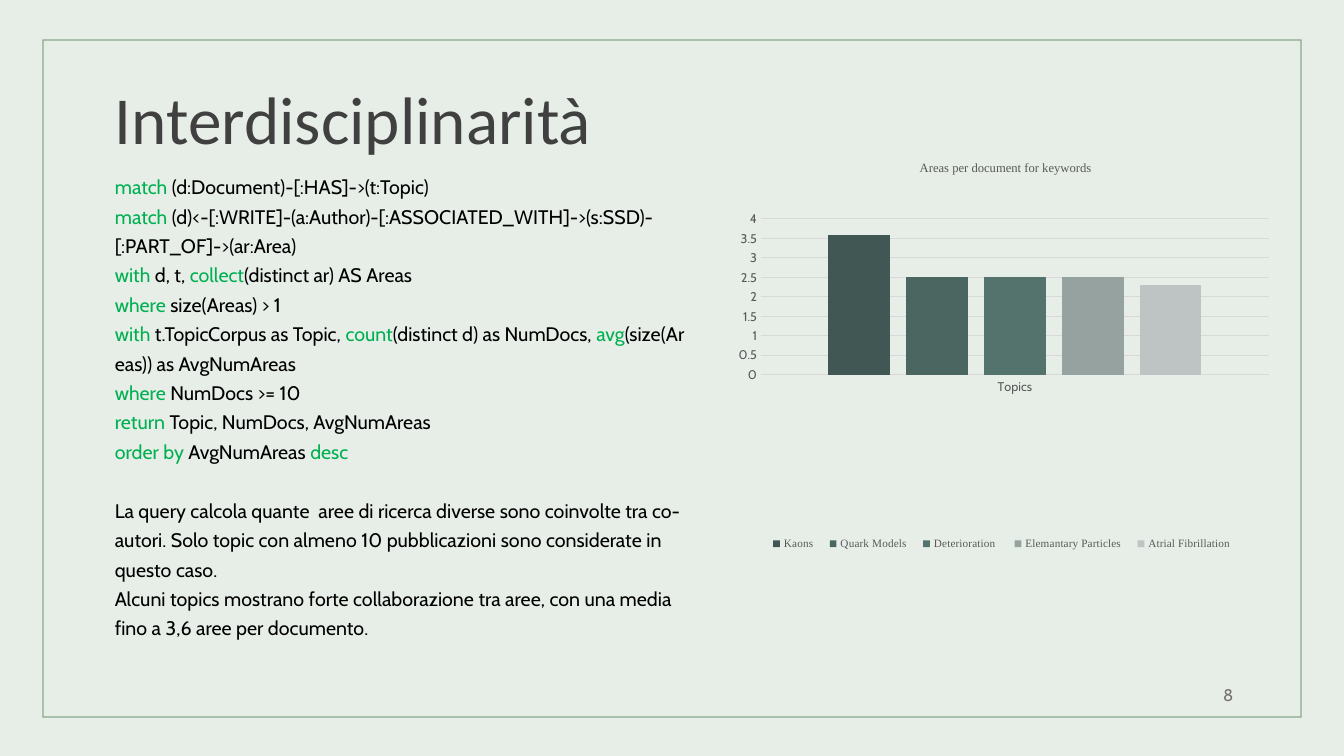
from pptx import Presentation
from pptx.chart.data import CategoryChartData
from pptx.dml.color import RGBColor
from pptx.enum.chart import XL_CHART_TYPE, XL_LEGEND_POSITION, XL_TICK_MARK
from pptx.enum.shapes import MSO_SHAPE
from pptx.enum.text import MSO_ANCHOR, MSO_AUTO_SIZE, PP_ALIGN
from pptx.oxml.ns import qn
from pptx.util import Inches, Pt
from lxml.etree import SubElement

COLORS = {
    "bg": "E7EEE8", "frame": "88A88E", "title": "404040", "keyword": "00B050",
    "text": "000000", "number": "767171", "label": "595959", "grid": "D9D9D9",
}
QUERY = [
    "|match| (d:Document)-[:HAS]->(t:Topic)",
    "|match| (d)<-[:WRITE]-(a:Author)-[:ASSOCIATED_WITH]->(s:SSD)-[:PART_OF]->(ar:Area)",
    "|with| d, t, |collect|(distinct ar) AS Areas",
    "|where| size(Areas) > 1",
    "|with| t.TopicCorpus as Topic, |count|(distinct d) as NumDocs, |avg|(size(Areas)) as AvgNumAreas",
    "|where| NumDocs >= 10",
    "|return| Topic, NumDocs, AvgNumAreas",
    "|order by| AvgNumAreas |desc|",
]
NOTES = [
    "La query calcola quante  aree di ricerca diverse sono coinvolte tra co-autori. "
    "Solo topic con almeno 10 pubblicazioni sono considerate in questo caso.",
    "Alcuni topics mostrano forte collaborazione tra aree, con una media fino a 3,6 aree per documento.",
]
TOPICS = [
    ("Kaons", 3.6, "405753"),
    ("Quark Models", 2.5, "4B6661"),
    ("Deterioration ", 2.5, "55736D"),
    ("Elemantary Particles", 2.5, "95A29F"),
    ("Atrial Fibrillation", 2.3, "BDC4C3"),
]
NBSP = chr(160)


def rgb(name):
    return RGBColor.from_string(COLORS.get(name, name))


def style_font(font, size, color="text", name="Cabin"):
    font.size, font.name, font.bold = Pt(size), name, False
    font.color.rgb = rgb(color)


def add_text(p, text, size=14, color="text", name="Cabin"):
    r = p.add_run()
    r.text = text
    style_font(r.font, size, color, name)


def set_layout(element, index, inner=False, **fractions):
    for old in element.findall(qn("c:layout")):
        element.remove(old)
    layout = SubElement(element, qn("c:layout"))
    element.insert(index, layout)
    manual = SubElement(layout, qn("c:manualLayout"))
    if inner:
        SubElement(manual, qn("c:layoutTarget")).set("val", "inner")
    for key in ("x", "y"):
        SubElement(manual, qn(f"c:{key}Mode")).set("val", "edge")
    for key, value in fractions.items():
        SubElement(manual, qn(f"c:{key}")).set("val", str(value))


class SlideBuilder:
    """Holds the deck style and the current slide."""

    def __init__(self):
        self.prs = Presentation()
        self.prs.slide_width, self.prs.slide_height = Inches(13.33), Inches(7.5)
        self.s = self.prs.slides.add_slide(self.prs.slide_layouts[5])
        self.s.background.fill.solid()
        self.s.background.fill.fore_color.rgb = rgb("bg")

    def frame(self, *box):
        sp = self.s.shapes.add_shape(MSO_SHAPE.FRAME, *map(Inches, box))
        sp.adjustments[0] = 0.002
        sp.shadow.inherit = False
        sp.fill.solid()
        sp.fill.fore_color.rgb = rgb("frame")
        sp.line.fill.background()

    def title(self, text, *box):
        sp = self.s.shapes.title
        sp.left, sp.top, sp.width, sp.height = map(Inches, box)
        tf = sp.text_frame
        tf.vertical_anchor, tf.auto_size = MSO_ANCHOR.BOTTOM, MSO_AUTO_SIZE.NONE
        p = tf.paragraphs[0]
        p.alignment, p.line_spacing = PP_ALIGN.LEFT, 0.9
        add_text(p, text, size=48, color="title", name="Calibri")

    def textbox(self, *box):
        tf = self.s.shapes.add_textbox(*map(Inches, box)).text_frame
        tf.word_wrap = True
        return tf

    def body(self, query, notes, *box):
        tf = self.textbox(*box)
        for i, line in enumerate(query + notes):
            p = tf.paragraphs[0] if i == 0 else tf.add_paragraph()
            p.line_spacing = 1.25
            if i >= len(query):
                p.space_before = Pt(21 if i == len(query) else 0)
                add_text(p, line)
                continue
            for j, part in enumerate(line.split("|")):
                if part:
                    add_text(p, part.replace(" ", NBSP), color="keyword" if j % 2 else "text")

    def number(self, text, *box):
        tf = self.textbox(*box)
        tf.vertical_anchor = MSO_ANCHOR.MIDDLE
        tf.paragraphs[0].alignment = PP_ALIGN.RIGHT
        add_text(tf.paragraphs[0], text, size=12, color="number")

    def chart(self, title, category, topics, *box):
        data = CategoryChartData()
        data.categories = [category]
        for name, value, _ in topics:
            data.add_series(name, [value])
        chart = self.s.shapes.add_chart(XL_CHART_TYPE.COLUMN_CLUSTERED, *map(Inches, box), data).chart
        style_font(chart.font, 10)

        chart.has_title = True
        add_text(chart.chart_title.text_frame.paragraphs[0], title, 9, "label", "Times New Roman")
        chart.chart_title.include_in_layout = False
        set_layout(chart.chart_title._element, 1, x=0.35, y=0.03)

        plot = chart.plots[0]
        plot.gap_width, plot.overlap, plot.vary_by_categories = 219, -27, False
        set_layout(chart._chartSpace.chart.plotArea, 0, True, x=0.081, y=0.156, w=0.873, h=0.316)
        for series, (_, _, color) in zip(plot.series, topics):
            series.format.fill.solid()
            series.format.fill.fore_color.rgb = rgb(color)

        cat, val = chart.category_axis, chart.value_axis
        for axis in (cat, val):
            axis.major_tick_mark = axis.minor_tick_mark = XL_TICK_MARK.NONE
            style_font(axis.tick_labels.font, 9, "label")
        val.minimum_scale, val.maximum_scale, val.major_unit = 0, 4, 0.5
        val.has_major_gridlines = True
        val.format.line.fill.background()
        for line in (cat.format.line, val.major_gridlines.format.line):
            line.color.rgb, line.width = rgb("grid"), Pt(0.75)

        chart.has_legend = True
        chart.legend.position = XL_LEGEND_POSITION.BOTTOM
        chart.legend.include_in_layout = False
        style_font(chart.legend.font, 8, "label", "Times New Roman")
        set_layout(chart.legend._element, 1, x=0.08, y=0.79, w=0.83, h=0.05)


def main():
    slide = SlideBuilder()
    slide.frame(0.42, 0.39, 12.49, 6.73)
    slide.title("Interdisciplinarità", 1.04, 0.66, 5.42, 0.97)
    slide.body(QUERY, NOTES, 1.04, 1.63, 5.92, 5.18)
    slide.number("8", 9.33, 6.69, 3, 0.4)
    slide.chart("Areas per document for keywords", "Topics", TOPICS, 7.08, 1.41, 5.77, 4.89)
    slide.prs.save("out.pptx")


if __name__ == "__main__":
    main()
